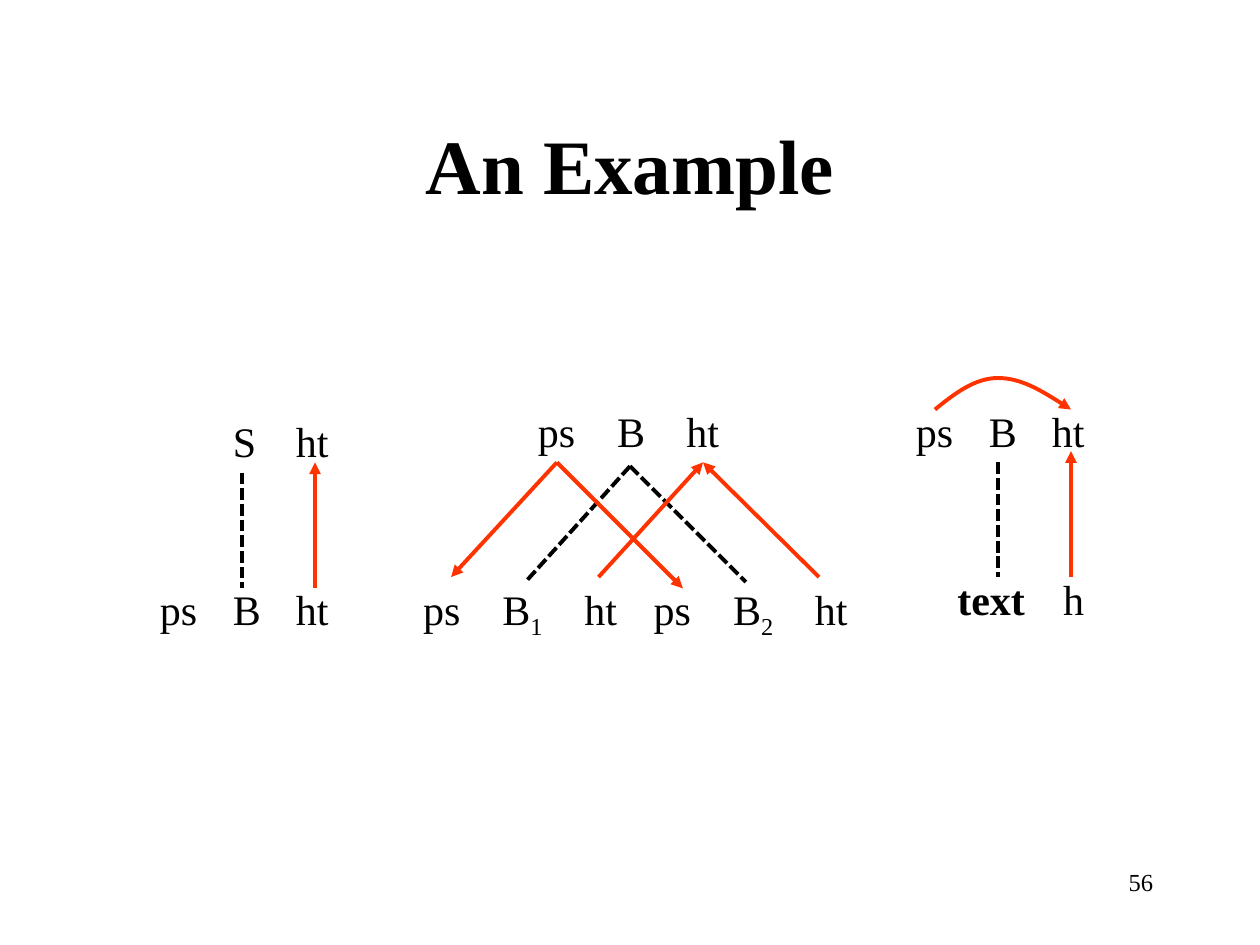
from lxml.etree import SubElement as Sub
from pptx import Presentation
from pptx.dml.color import RGBColor
from pptx.enum.dml import MSO_LINE as Dash
from pptx.enum.shapes import MSO_CONNECTOR as Conn
from pptx.enum.text import MSO_ANCHOR as Anchor, PP_ALIGN as Align
from pptx.oxml.ns import qn
from pptx.util import Inches, Pt

BLACK = RGBColor(0x00, 0x00, 0x00)
RED = RGBColor(0xFF, 0x33, 0x00)
FONT = "Times New Roman"


def put_text(slide, text, x, y, w, h=0.5, size=24, bold=False,
             align=Align.LEFT, anchor=Anchor.TOP, right=0, tabs=()):
    """Place text; a part between underscores is set as a subscript."""
    box = slide.shapes.add_textbox(Inches(x), Inches(y), Inches(w), Inches(h))
    frame = box.text_frame
    frame.word_wrap = True
    frame.vertical_anchor = anchor
    frame.margin_right = Inches(right)
    para = frame.paragraphs[0]
    para.alignment = align
    if tabs:
        stops = Sub(para._p.get_or_add_pPr(), qn("a:tabLst"))
        for tab in tabs:
            Sub(stops, qn("a:tab"), pos=str(Inches(tab)), algn="l")
    for i, part in enumerate(text.split("_")):
        run = para.add_run()
        run.text = part
        font = run.font
        font.name, font.size, font.bold = FONT, Pt(size), bold
        font.color.rgb = BLACK
        if i % 2:
            font._element.set("baseline", "-25000")


def style_line(line, color, arrow):
    line.color.rgb = color
    line.width = Pt(2.25)
    if arrow:
        Sub(line._get_or_add_ln(), qn("a:tailEnd"), type="triangle")


def add_line(slide, x1, y1, x2, y2, color):
    link = slide.shapes.add_connector(
        Conn.STRAIGHT, Inches(x1), Inches(y1), Inches(x2), Inches(y2))
    style_line(link.line, color, color == RED)
    if color == BLACK:
        link.line.dash_style = Dash.SQUARE_DOT
    Sub(link._element.spPr, qn("a:effectLst"))


def add_curve(slide, start, *points):
    """Draw an arrow of cubic curves, three points to each curve."""
    pen = slide.shapes.build_freeform(
        Inches(start[0]), Inches(start[1]))
    pen.add_line_segments(
        [(Inches(x), Inches(y)) for x, y in points], close=False)
    shape = pen.convert_to_shape()
    shape.shadow.inherit = False
    shape.fill.background()
    style_line(shape.line, RED, True)
    steps = list(shape._element.iter(qn("a:lnTo")))
    track = steps[0].getparent()
    for i in range(0, len(steps), 3):
        cubic = Sub(track, qn("a:cubicBezTo"))
        for step in steps[i:i + 3]:
            cubic.append(step[0])
            track.remove(step)


def draw_root(slide, x, y):
    """Rule S -> B: the height is passed up."""
    for text, dx, dy in (("S", 0.58, 0), ("ht", 1.08, 0), ("ps", 0, 1.33),
                         ("B", 0.58, 1.33), ("ht", 1.08, 1.33)):
        put_text(slide, text, x + dx, y + dy, 0.5)
    add_line(slide, x + 0.75, y + 0.5, x + 0.75, y + 1.42, BLACK)
    add_line(slide, x + 1.33, y + 1.42, x + 1.33, y + 0.42, RED)


def draw_pair(slide, x, y):
    """Rule B -> B1 B2: sizes go down and heights go up."""
    put_text(slide, "ps\tB\tht", x + 0.91, y, 1.64, tabs=(0.63, 1.18))
    for i, dx in enumerate((0, 1.83), 1):
        put_text(slide, f"ps\tB_{i}_\tht", x + dx, y + 1.41, 1.74, 0.56,
                 tabs=(0.63, 1.28))
    for x1, y1, x2, y2, color in (
            (1.74, 0.53, 0.91, 1.45, BLACK), (1.74, 0.53, 2.66, 1.45, BLACK),
            (1.16, 0.5, 0.32, 1.41, RED), (3.24, 1.41, 2.32, 0.5, RED),
            (1.16, 0.5, 2.16, 1.5, RED), (1.49, 1.41, 2.32, 0.5, RED)):
        add_line(slide, x + x1, y + y1, x + x2, y + y2, color)


def draw_leaf(slide, x, y):
    """Rule B -> text: the height comes from the size and the text."""
    for text, dx in (("ps", 0), ("B", 0.58), ("ht", 1.08)):
        put_text(slide, text, x + dx, y, 0.5)
    put_text(slide, "text", x + 0.33, y + 1.33, 0.73, bold=True)
    put_text(slide, "h", x + 1.17, y + 1.33, 0.36)
    add_line(slide, x + 0.75, y + 0.5, x + 0.75, y + 1.41, BLACK)
    add_line(slide, x + 1.33, y + 1.41, x + 1.33, y + 0.41, RED)
    arc = ((0.25, 0.08), (0.41, -0.05), (0.57, -0.17), (0.75, -0.17),
           (0.93, -0.17), (1.13, -0.05), (1.33, 0.08))
    add_curve(slide, *[(x + dx, y + dy) for dx, dy in arc])


def main():
    deck = Presentation()
    deck.slide_width, deck.slide_height = Inches(10), Inches(7.5)
    slide = deck.slides.add_slide(deck.slide_layouts[6])
    put_text(slide, "An Example", 0.75, 0.67, 8.5, 1.25, size=44, bold=True,
             align=Align.CENTER, anchor=Anchor.MIDDLE, right=0.1)
    draw_root(slide, 1.17, 3.25)
    draw_pair(slide, 3.26, 3.17)
    draw_leaf(slide, 7.17, 3.17)
    put_text(slide, "56", 7.17, 6.83, 2.08, size=14, align=Align.RIGHT,
             right=0.1)
    deck.save("out.pptx")


if __name__ == "__main__":
    main()
